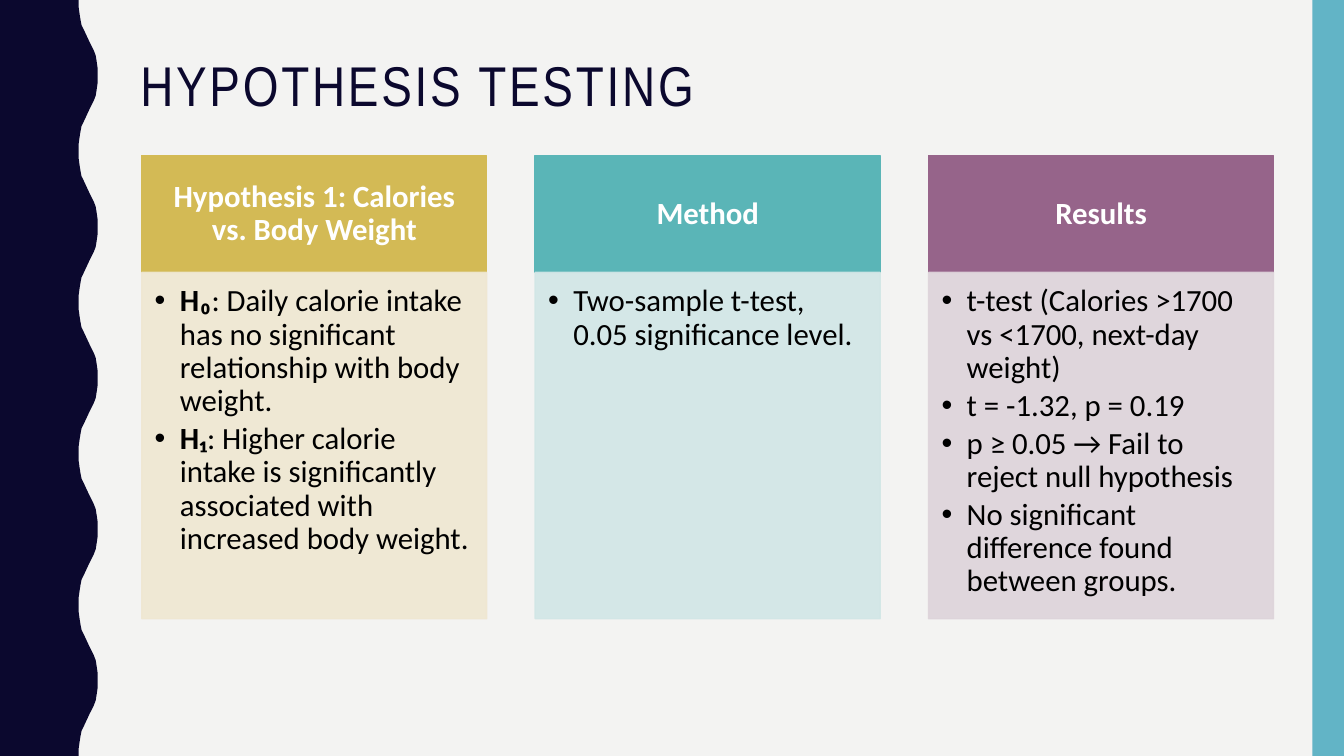
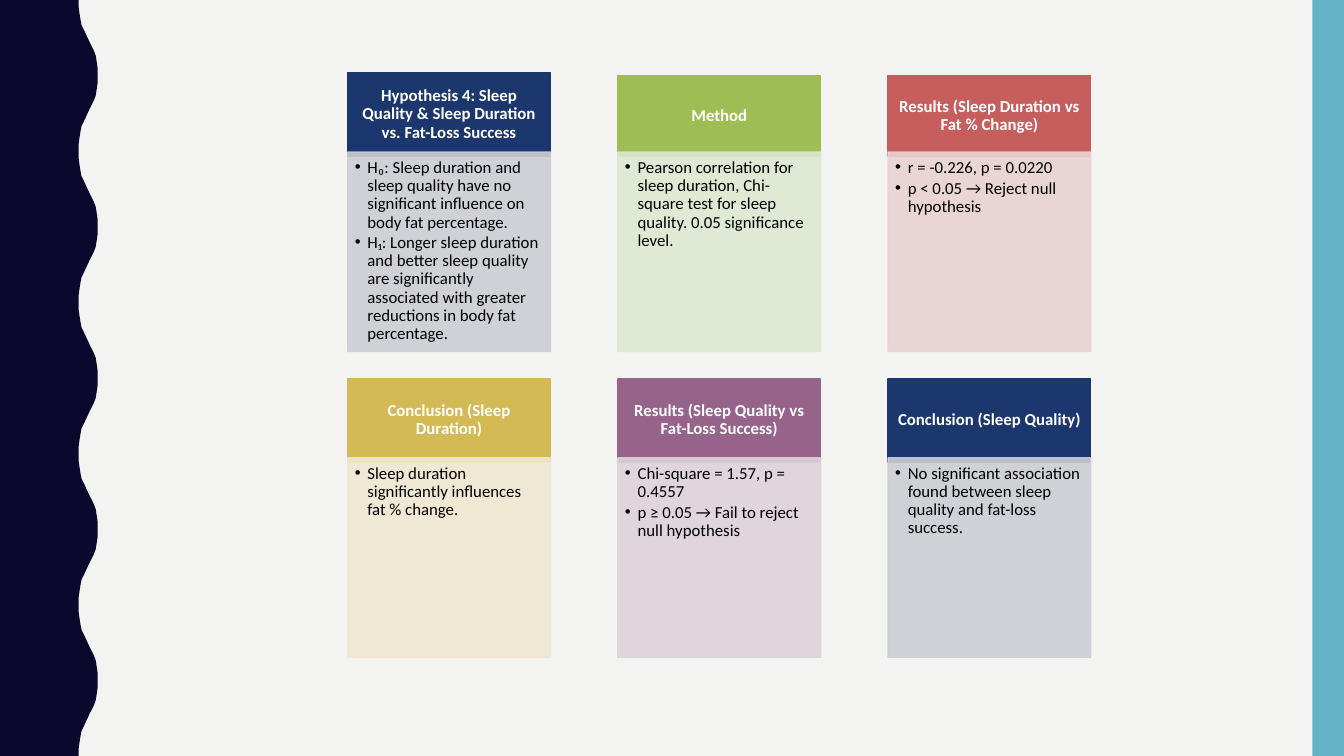
import lxml.etree
import pptx
import pptx.dml.color
import pptx.enum.shapes
import pptx.enum.text
import pptx.oxml.ns
import pptx.util

Pt = pptx.util.Pt
RGB = pptx.dml.color.RGBColor
ALIGN = pptx.enum.text.PP_ALIGN
ANCHOR = pptx.enum.text.MSO_ANCHOR
RECT = pptx.enum.shapes.MSO_SHAPE.RECTANGLE
qn = pptx.oxml.ns.qn

PAPER = RGB(0xF3, 0xF3, 0xF2)
INK = RGB(0x0B, 0x08, 0x2E)
SKY = RGB(0x62, 0xB4, 0xC6)
WHITE = RGB(0xFF, 0xFF, 0xFF)
BLACK = RGB(0x00, 0x00, 0x00)
GOLD = RGB(0xD3, 0xBA, 0x55), RGB(0xEF, 0xE7, 0xD1)
TEAL = RGB(0x5A, 0xB5, 0xB7), RGB(0xD1, 0xE6, 0xE6)
PLUM = RGB(0x96, 0x64, 0x8A), RGB(0xDD, 0xD3, 0xDA)
NAVY = RGB(0x1B, 0x37, 0x6E), RGB(0xCD, 0xCE, 0xD5)
GREEN = RGB(0x9E, 0xBE, 0x55), RGB(0xDF, 0xE8, 0xD1)
RED = RGB(0xC6, 0x5E, 0x5E), RGB(0xEA, 0xD2, 0xD2)

WIDTH, HEIGHT = 960, 540
WAVE_PERIOD = 108
HALF_WAVE = [(56.2, 0), (56.2, 5), (56.9, 10), (57.6, 14.4), (58.3, 18),
             (59.8, 21), (64, 30), (67, 36), (68.4, 39.6), (69.1, 44),
             (69.8, 49), (69.8, 54)]


class Deck:
    """Hold the shared style and the current slide."""

    def __init__(self):
        self.prs = pptx.Presentation()
        self.prs.slide_width, self.prs.slide_height = Pt(WIDTH), Pt(HEIGHT)
        fill = self.prs.slide_master.background.fill
        fill.solid()
        fill.fore_color.rgb = PAPER
        self.s = None

    def slide(self, title=None):
        layout = self.prs.slide_layouts[5 if title else 6]
        self.s = self.prs.slides.add_slide(layout)
        self.wave()
        self.rect(937.5, 0, WIDTH - 937.5, HEIGHT, SKY)
        if title:
            self.title(title)

    def wave(self):
        period = HALF_WAVE + [(x, WAVE_PERIOD - y) for x, y in HALF_WAVE[-2::-1]]
        edge = [(x, y + i * WAVE_PERIOD) for i in range(HEIGHT // WAVE_PERIOD)
                for x, y in period]
        points = [(Pt(x), Pt(y)) for x, y in edge + [(0, HEIGHT)]]
        builder = self.s.shapes.build_freeform(0, 0)
        builder.add_line_segments(points, close=True)
        self.paint(builder.convert_to_shape(), INK)

    def paint(self, sp, color, outlined=False):
        sp.shadow.inherit = False
        sp.fill.solid()
        sp.fill.fore_color.rgb = color
        if outlined:
            sp.line.color.rgb = color
            sp.line.width = Pt(1)
        else:
            sp.line.fill.background()

    def rect(self, x, y, w, h, color, outlined=False):
        sp = self.s.shapes.add_shape(RECT, Pt(x), Pt(y), Pt(w), Pt(h))
        self.paint(sp, color, outlined)
        return sp

    def title(self, text):
        sp = self.s.shapes.title
        sp.left, sp.top, sp.width, sp.height = Pt(93), Pt(33), Pt(755), Pt(60)
        tf = sp.text_frame
        tf.text = text
        tf.vertical_anchor = ANCHOR.MIDDLE
        p = tf.paragraphs[0]
        p.alignment = ALIGN.LEFT
        p.line_spacing = 0.9
        r = p.runs[0]
        self.font(r, 40, INK, name="Arial Narrow")
        r.font._element.set("spc", "200")

    def font(self, r, size, color, bold=False, name="Calibri"):
        r.font.name, r.font.size, r.font.bold = name, Pt(size), bold
        r.font.color.rgb = color

    def frame(self, sp, anchor, insets):
        tf = sp.text_frame
        tf.word_wrap = True
        tf.vertical_anchor = anchor
        (tf.margin_left, tf.margin_top,
         tf.margin_right, tf.margin_bottom) = [Pt(v) for v in insets]
        return tf

    def header(self, sp, text, size):
        side, edge = 0.55 * size, 0.32 * size
        tf = self.frame(sp, ANCHOR.MIDDLE, (side, edge, side, edge))
        tf.text = text
        p = tf.paragraphs[0]
        p.alignment = ALIGN.CENTER
        p.line_spacing = 0.9
        self.font(p.runs[0], size, WHITE, bold=True)

    def bullets(self, sp, items, size, indent):
        insets = [k * size for k in (0.42, 0.42, 0.55, 0.61)]
        tf = self.frame(sp, ANCHOR.TOP, insets)
        for i, item in enumerate(items):
            p = tf.add_paragraph() if i else tf.paragraphs[0]
            pieces = (item,) if isinstance(item, str) else item
            for j, piece in enumerate(pieces):
                r = p.add_run()
                r.text = piece
                self.font(r, size, BLACK, bold=j < len(pieces) - 1)
            p.alignment = ALIGN.LEFT
            p.line_spacing = 0.9
            p.space_after = Pt(0.15 * size)
            pPr = p._p.get_or_add_pPr()
            pPr.set("marL", str(Pt(indent)))
            pPr.set("indent", str(-Pt(indent)))
            lxml.etree.SubElement(pPr, qn("a:buFont")).set("typeface", "Arial")
            lxml.etree.SubElement(pPr, qn("a:buChar")).set("char", "•")

    def card(self, x, top, split, bottom, w, overlap, size, indent, content):
        heading, colors, items = content
        sp = self.rect(x, top, w, split + overlap - top, colors[0], True)
        self.header(sp, heading, size)
        sp = self.rect(x, split, w, bottom - split, colors[1], True)
        for color in sp._element.spPr.iter(qn("a:srgbClr")):
            lxml.etree.SubElement(color, qn("a:alpha")).set("val", "90000")
        self.bullets(sp, items, size, indent)


CALORIE_CARDS = [
    ("Hypothesis 1: Calories vs. Body Weight", GOLD, [
        ("H₀", ": Daily calorie intake has no significant relationship with body weight."),
        ("H₁", ": Higher calorie intake is significantly associated with increased body weight.")]),
    ("Method", TEAL, ["Two-sample t-test, 0.05 significance level."]),
    ("Results", PLUM, [
        "t-test (Calories >1700 vs <1700, next-day weight)",
        "t = -1.32, p = 0.19",
        "p ≥ 0.05 → Fail to reject null hypothesis",
        "No significant difference found between groups."]),
]

SLEEP_CARDS = [
    ("Hypothesis 4: Sleep Quality & Sleep Duration vs. Fat-Loss Success", NAVY, [
        "H₀: Sleep duration and sleep quality have no significant influence on "
        "body fat percentage.",
        "H₁: Longer sleep duration and better sleep quality are significantly "
        "associated with greater reductions in body fat percentage."]),
    ("Method", GREEN, [
        "Pearson correlation for sleep duration, Chi-square test for sleep "
        "quality. 0.05 significance level."]),
    ("Results (Sleep Duration vs Fat % Change)", RED, [
        "r = -0.226, p = 0.0220",
        "p < 0.05 → Reject null hypothesis"]),
    ("Conclusion (Sleep Duration)", GOLD, [
        "Sleep duration significantly influences fat % change."]),
    ("Results (Sleep Quality vs Fat-Loss Success)", PLUM, [
        "Chi-square = 1.57, p = 0.4557",
        "p ≥ 0.05 → Fail to reject null hypothesis"]),
    ("Conclusion (Sleep Quality)", NAVY, [
        "No significant association found between sleep quality and fat-loss success."]),
]


def main():
    deck = Deck()
    deck.slide("HYPOTHESIS TESTING")
    for col, content in enumerate(CALORIE_CARDS):
        deck.card(101.3 + 281 * col, 111.3, 194.6, 442, 246.4, 0, 22, 18, content)

    deck.slide()
    tops, splits = (54, 270.6), (108.6, 327)
    for i, content in enumerate(SLEEP_CARDS):
        row, col = divmod(i, 3)
        top = tops[row] if i else 52
        deck.card(248.4 + 193 * col, top, splits[row], splits[row] + 142.5,
                  144.8, 3, 12, 9, content)
    deck.prs.save("out.pptx")


if __name__ == "__main__":
    main()
